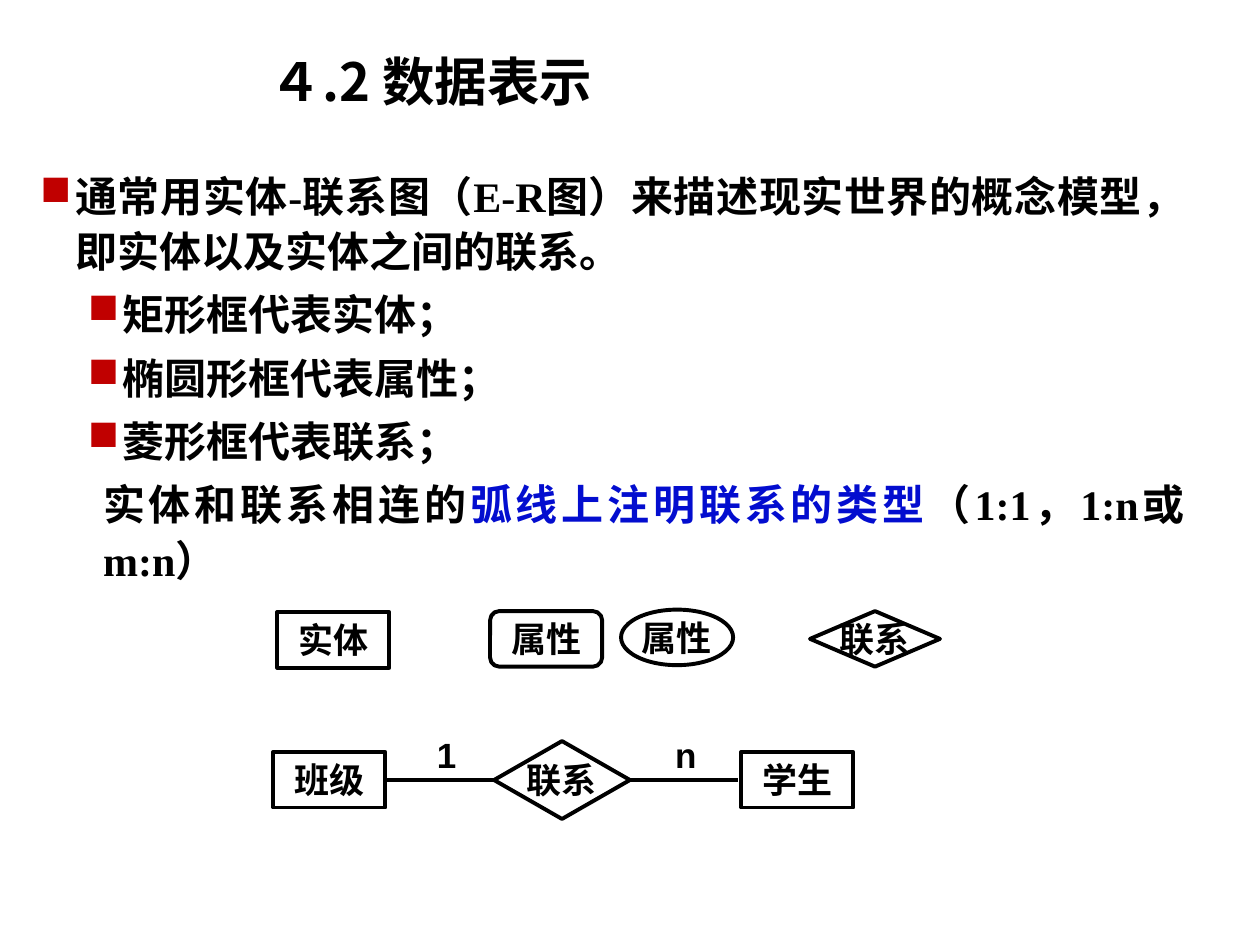
from lxml import etree
from pptx import Presentation
from pptx.dml.color import RGBColor
from pptx.enum.shapes import MSO_CONNECTOR, MSO_SHAPE
from pptx.enum.text import MSO_ANCHOR, PP_ALIGN
from pptx.oxml.ns import qn
from pptx.util import Cm, Pt

RECTANGLE = MSO_SHAPE.RECTANGLE
ROUNDED = MSO_SHAPE.ROUNDED_RECTANGLE
OVAL = MSO_SHAPE.OVAL
DIAMOND = MSO_SHAPE.DIAMOND
STRAIGHT = MSO_CONNECTOR.STRAIGHT
TOP, MIDDLE = MSO_ANCHOR.TOP, MSO_ANCHOR.MIDDLE
LEFT, CENTER, JUSTIFY = PP_ALIGN.LEFT, PP_ALIGN.CENTER, PP_ALIGN.JUSTIFY

COLORS = {"ink": "000000", "accent": "030DCF", "bullet": "C00000"}
CHINESE_FONT = "Noto Sans CJK SC"


def color(name):
    return RGBColor.from_string(COLORS[name])


def add_text(paragraph, text, *, font="Arial", size=20, ink="ink", align=LEFT):
    paragraph.alignment = align
    run = paragraph.add_run()
    run.text = text
    run.font.name = font
    run.font.size = Pt(size)
    run.font.bold = True
    run.font.color.rgb = color(ink)
    east_asian = etree.SubElement(run.font._element, qn("a:ea"))
    east_asian.set("typeface", CHINESE_FONT)


def set_indent(paragraph, margin, bullet_width=0):
    """Indent the paragraph, hanging a square bullet if it has a width."""
    properties = paragraph._p.get_or_add_pPr()
    properties.set("marL", str(Cm(margin)))
    properties.set("indent", str(-Cm(bullet_width)))
    if bullet_width:
        bullet_color = etree.SubElement(properties, qn("a:buClr"))
        etree.SubElement(bullet_color, qn("a:srgbClr")).set("val", COLORS["bullet"])
        etree.SubElement(properties, qn("a:buChar")).set("char", "■")


class SlideBuilder:
    line_width = Pt(2.25)

    def __init__(self, slide):
        self.slide = slide

    def text_box(self, left, top, width, height, anchor=TOP):
        box = self.slide.shapes.add_textbox(Cm(left), Cm(top), Cm(width), Cm(height))
        frame = box.text_frame
        frame.word_wrap = True
        frame.vertical_anchor = anchor
        return frame

    def label(self, text, left, top, width, height, anchor=TOP, **text_format):
        frame = self.text_box(left, top, width, height, anchor)
        add_text(frame.paragraphs[0], text, **text_format)

    def body(self, left, top, width, height, items):
        """Each item is (margin, bullet width, [(text, colour), ...])."""
        frame = self.text_box(left, top, width, height, MIDDLE)
        for index, (margin, bullet_width, runs) in enumerate(items):
            paragraph = frame.add_paragraph() if index else frame.paragraphs[0]
            paragraph.line_spacing = 1.1
            paragraph.space_before = Pt(4.5 if index else 0)
            set_indent(paragraph, margin, bullet_width)
            for text, ink in runs:
                add_text(paragraph, text, font="Times New Roman", size=24,
                         ink=ink, align=JUSTIFY)

    def node(self, kind, text, left, top, width=2.26, height=1.12, font="Quicksand"):
        shape = self.slide.shapes.add_shape(kind, Cm(left), Cm(top), Cm(width), Cm(height))
        shape.shadow.inherit = False
        shape.fill.background()
        shape.line.color.rgb = color("ink")
        shape.line.width = self.line_width
        frame = shape.text_frame
        frame.word_wrap = False
        frame.vertical_anchor = MIDDLE
        add_text(frame.paragraphs[0], text, font=font, align=CENTER)

    def link(self, start, end, y):
        connector = self.slide.shapes.add_connector(
            STRAIGHT, Cm(start), Cm(y), Cm(end), Cm(y))
        connector.line.color.rgb = color("ink")
        connector.line.width = self.line_width
        etree.SubElement(connector._element.spPr, qn("a:effectLst"))


def main():
    presentation = Presentation()
    presentation.slide_width, presentation.slide_height = Cm(25.4), Cm(19.05)
    slide = presentation.slides.add_slide(presentation.slide_layouts[6])
    builder = SlideBuilder(slide)

    builder.label("４.2 数据表示", 3.28, 0.89, 10.82, 1.45, MIDDLE,
                  font=CHINESE_FONT, size=30, align=CENTER)

    bullet_width = 0.71
    intro = "通常用实体-联系图（E-R图）来描述现实世界的概念模型，即实体以及实体之间的联系。"
    notations = ["矩形框代表实体；", "椭圆形框代表属性；", "菱形框代表联系；"]
    link_types = [("实体和联系相连的", "ink"), ("弧线上注明联系的类型", "accent"),
                  ("（1:1，1:n或m:n）", "ink")]
    builder.body(0.56, 3.68, 23.57, 7.75, [
        (bullet_width, bullet_width, [(intro, "ink")]),
        *[(1.67, bullet_width, [(text, "ink")]) for text in notations],
        (1.27, 0, link_types),
    ])

    # Legend of the symbols
    builder.node(RECTANGLE, "实体", 5.59, 12.34)
    builder.node(ROUNDED, "属性", 9.88, 12.32)
    builder.node(OVAL, "属性", 12.52, 12.29)
    builder.node(DIAMOND, "联系", 16.33, 12.32, width=2.62)

    # Example: one class has n students
    for text, left in [("班级", 5.51), ("学生", 14.94)]:
        builder.node(RECTANGLE, text, left, 15.16, font="Arial")
    builder.node(DIAMOND, "联系", 9.96, 14.94, width=2.74, height=1.57)
    for text, left, start, end in [("1", 8.56, 7.75, 9.96), ("n", 13.36, 12.65, 14.88)]:
        builder.link(start, end, 15.72)
        builder.label(text, left, 14.66, 1.4, 1.12)

    presentation.save("out.pptx")


if __name__ == "__main__":
    main()
